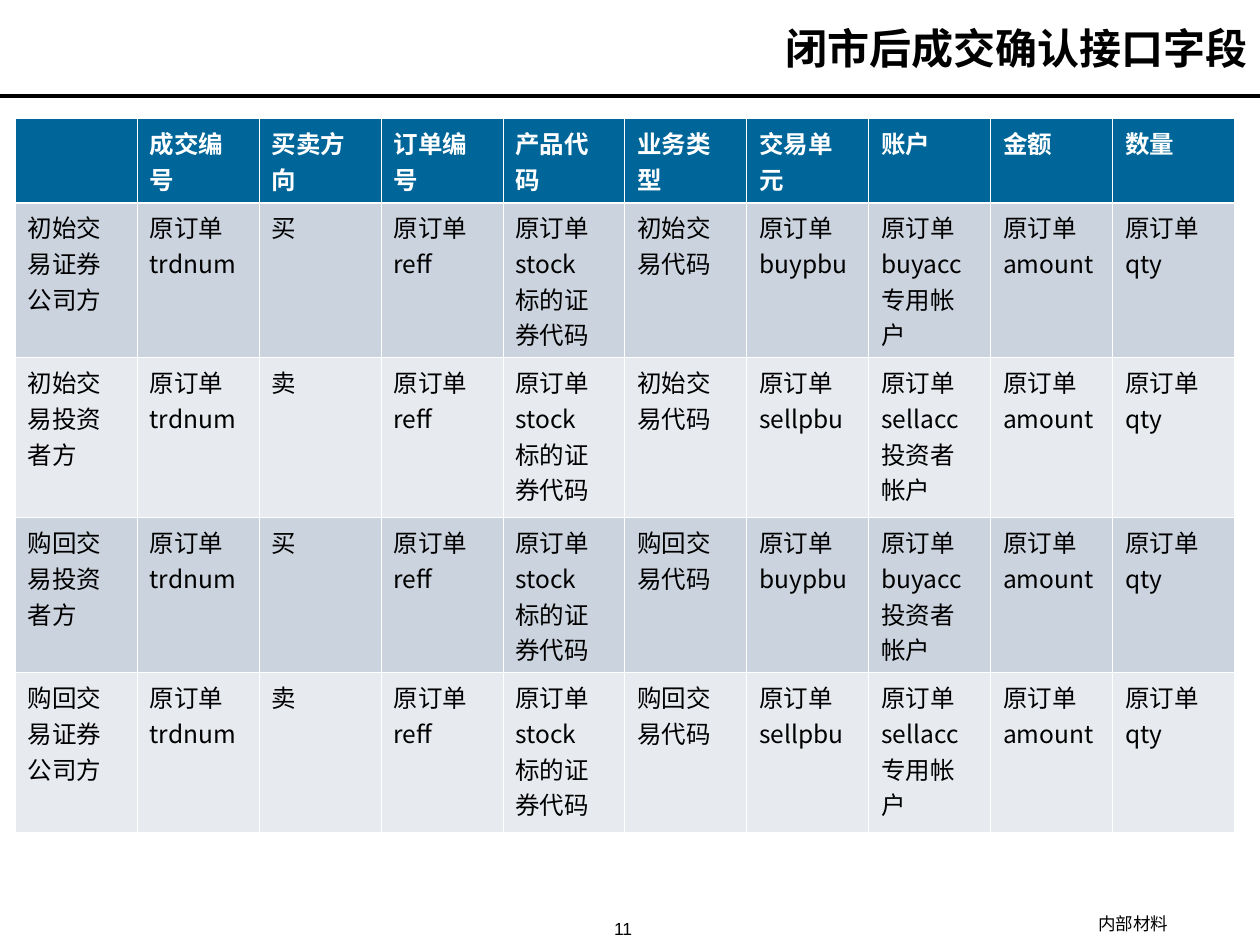
from lxml import etree
from pptx import Presentation
from pptx.dml.color import RGBColor
from pptx.enum.shapes import MSO_CONNECTOR
from pptx.enum.text import MSO_ANCHOR, PP_ALIGN
from pptx.oxml.ns import qn
from pptx.util import Inches, Pt

LEFT, CENTER, RIGHT = PP_ALIGN.LEFT, PP_ALIGN.CENTER, PP_ALIGN.RIGHT
MIDDLE, BOTTOM = MSO_ANCHOR.MIDDLE, MSO_ANCHOR.BOTTOM
STRAIGHT = MSO_CONNECTOR.STRAIGHT

BLACK = RGBColor(0x00, 0x00, 0x00)
WHITE = RGBColor(0xFF, 0xFF, 0xFF)
HEADER_BLUE = RGBColor(0x00, 0x66, 0x99)
BAND_DARK = RGBColor(0xCB, 0xD3, 0xDE)
BAND_LIGHT = RGBColor(0xE7, 0xEA, 0xEF)
CJK_FONT, LATIN_FONT = "Noto Sans CJK SC", "Arial"
THIN, THICK = 0.45, 1.47

# Content
TITLE = "闭市后成交确认接口字段"
FOOTER = "内部材料"
PAGE_NUMBER = "11"
HEADERS = ["", "成交编号", "买卖方向", "订单编号", "产品代码",
           "业务类型", "交易单元", "账户", "金额", "数量"]
# Party, direction, business type, trading unit, account, account kind
PARTIES = [
    ("初始交易证券公司方", "买", "初始交易代码", "buypbu", "buyacc", "专用帐户"),
    ("初始交易投资者方", "卖", "初始交易代码", "sellpbu", "sellacc", "投资者帐户"),
    ("购回交易投资者方", "买", "购回交易代码", "buypbu", "buyacc", "投资者帐户"),
    ("购回交易证券公司方", "卖", "购回交易代码", "sellpbu", "sellacc", "专用帐户"),
]
ROW_HEIGHTS = [0.67, 1.23, 1.27, 1.23, 1.27]
TABLE_WIDTH = 9.68


def party_row(party, direction, business, unit, account, account_kind):
    return [party, "原订单trdnum", direction, "原订单reff",
            "原订单stock\n标的证券代码", business, f"原订单{unit}",
            f"原订单{account}\n{account_kind}", "原订单amount", "原订单qty"]


def write_text(frame, text, size, font_name, color, bold=False,
               alignment=LEFT, line_spacing=None):
    for index, line in enumerate(text.split("\n")):
        paragraph = frame.add_paragraph() if index else frame.paragraphs[0]
        paragraph.alignment = alignment
        paragraph.line_spacing = line_spacing
        run = paragraph.add_run()
        run.text = line
        font = run.font
        font.size, font.name, font.bold = Pt(size), font_name, bold
        font.color.rgb = color
        east_asian = etree.SubElement(run._r.get_or_add_rPr(), qn("a:ea"))
        east_asian.set("typeface", CJK_FONT)


def add_text(slide, box, text, anchor, *style, **options):
    shape = slide.shapes.add_textbox(*map(Inches, box))
    frame = shape.text_frame
    frame.word_wrap = True
    frame.vertical_anchor = anchor
    write_text(frame, text, *style, **options)


def set_borders(cell, widths):
    properties = cell._tc.get_or_add_tcPr()
    for position, (side, width) in enumerate(widths.items()):
        line = etree.Element(qn(f"a:{side}"), w=str(Pt(width)))
        fill = etree.SubElement(line, qn("a:solidFill"))
        etree.SubElement(fill, qn("a:srgbClr"), val=str(WHITE))
        properties.insert(position, line)


def add_field_table(slide, rows):
    shape = slide.shapes.add_table(
        len(rows), len(HEADERS), Inches(0.12), Inches(0.94),
        Inches(TABLE_WIDTH), Inches(sum(ROW_HEIGHTS)))
    table = shape.table
    for column in table.columns:
        column.width = Inches(TABLE_WIDTH / len(HEADERS))
    for r, values in enumerate(rows):
        table.rows[r].height = Inches(ROW_HEIGHTS[r])
        is_header = r == 0
        band = HEADER_BLUE if is_header else (BAND_LIGHT, BAND_DARK)[r % 2]
        for c, value in enumerate(values):
            cell = table.cell(r, c)
            cell.fill.solid()
            cell.fill.fore_color.rgb = band
            set_borders(cell, {"lnL": THIN, "lnR": THIN,
                               "lnT": THICK if r == 1 else THIN,
                               "lnB": THICK if is_header else THIN})
            if value:
                write_text(cell.text_frame, value, 14, CJK_FONT,
                           WHITE if is_header else BLACK, bold=is_header)


def main():
    presentation = Presentation()
    presentation.slide_width, presentation.slide_height = Inches(10), Inches(7.5)
    slide = presentation.slides.add_slide(presentation.slide_layouts[6])

    # Rule under the title
    rule = slide.shapes.add_connector(
        STRAIGHT, Inches(0), Inches(0.76), Inches(10), Inches(0.76))
    rule.line.color.rgb = BLACK
    rule.line.width = Pt(2.25)
    etree.SubElement(rule._element.spPr, qn("a:effectLst"))

    # Title, table, footer and page number
    add_text(slide, (3.19, 0.12, 6.81, 0.52), TITLE, MIDDLE,
             24, CJK_FONT, BLACK, bold=True, alignment=RIGHT)
    add_field_table(slide, [HEADERS] + [party_row(*party) for party in PARTIES])
    for text, left, top in ((FOOTER, 8.07, 7.16), (PAGE_NUMBER, 4.02, 7.2)):
        add_text(slide, (left, top, 1.85, 0.3), text, BOTTOM,
                 10, LATIN_FONT, BLACK, alignment=CENTER, line_spacing=0.8)

    presentation.save("out.pptx")


if __name__ == "__main__":
    main()
